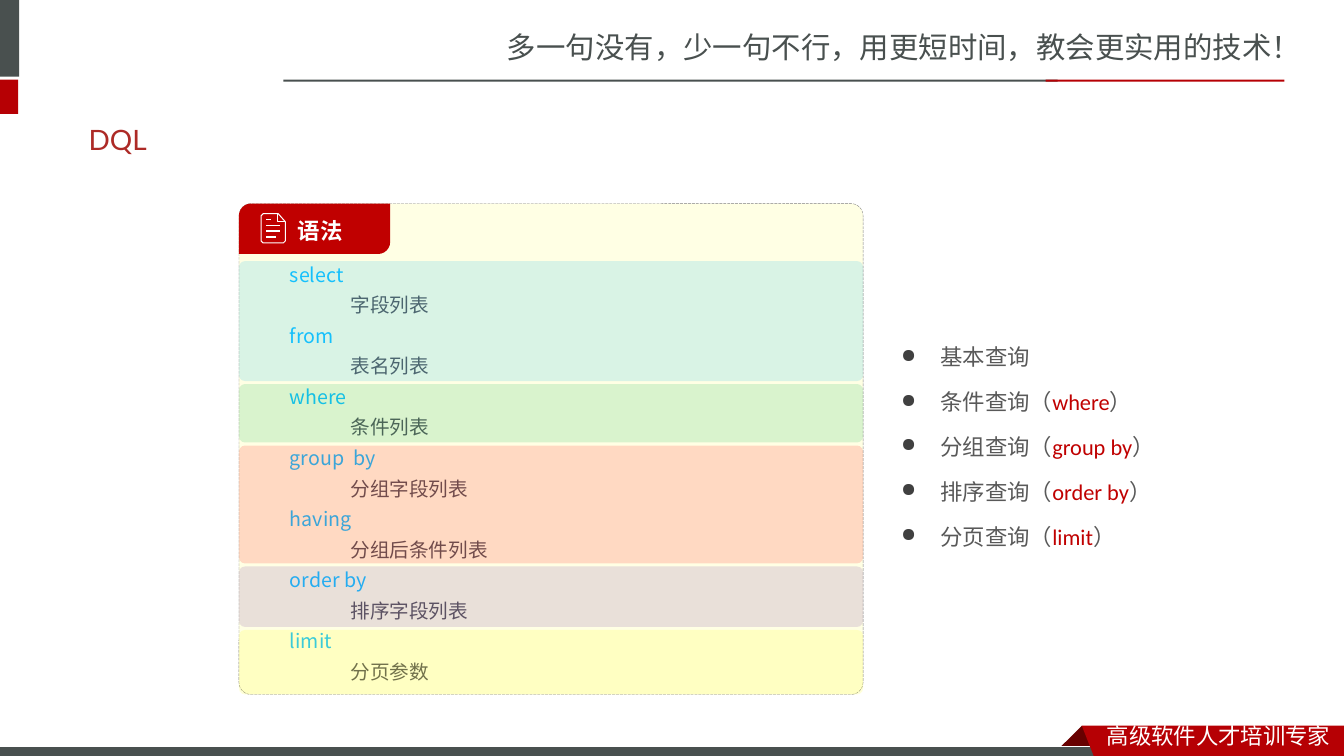
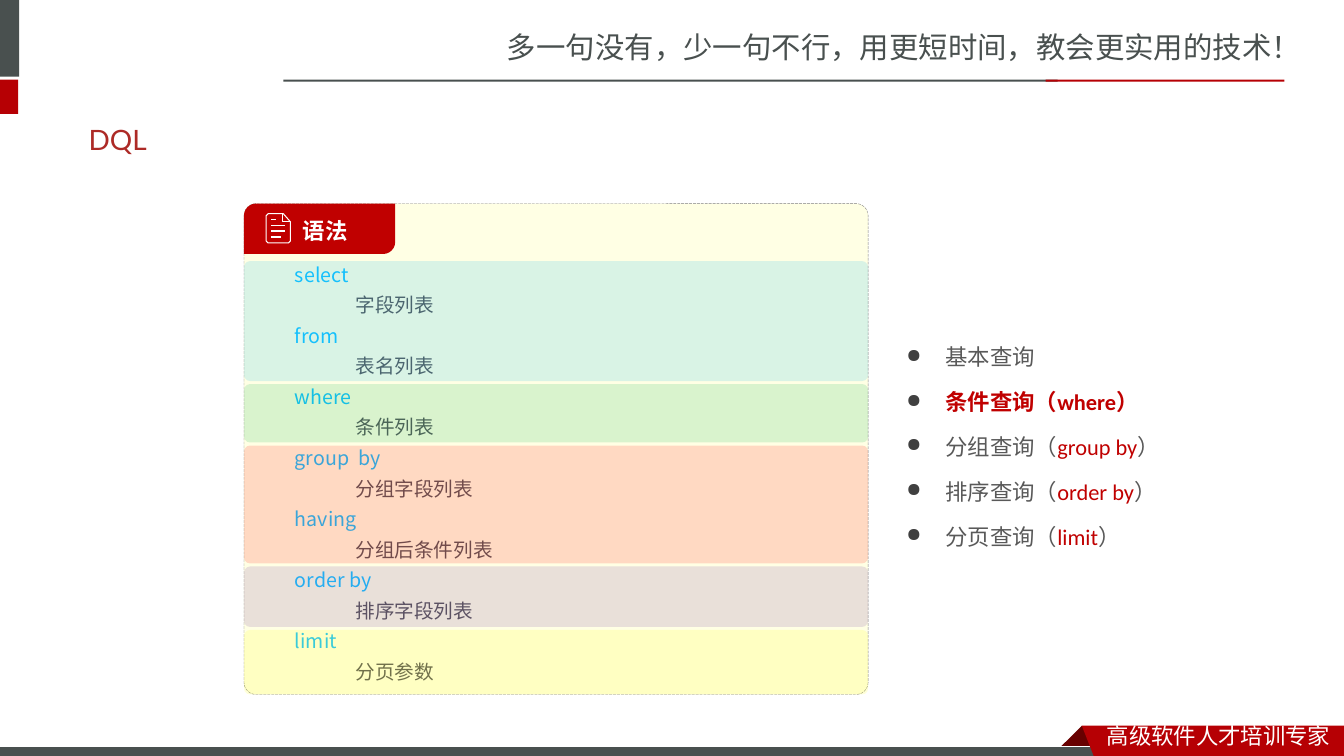
from lxml import etree
from pptx import Presentation
from pptx.dml.color import RGBColor
from pptx.enum.dml import MSO_LINE
from pptx.enum.shapes import MSO_CONNECTOR, MSO_SHAPE
from pptx.enum.text import MSO_ANCHOR
from pptx.oxml.ns import qn
from pptx.util import Inches, Pt

# Colours and fonts
GREY = RGBColor(0x49, 0x50, 0x4F)
BRAND_RED = RGBColor(0xB6, 0x00, 0x04)
FOLD_RED = RGBColor(0x68, 0x00, 0x00)
TITLE_RED = RGBColor(0xAD, 0x2A, 0x26)
RED = RGBColor(0xC0, 0x00, 0x00)
WHITE = RGBColor(0xFF, 0xFF, 0xFF)
CREAM = RGBColor(0xFF, 0xFF, 0xE4)
BORDER = RGBColor(0x80, 0x80, 0x80)
KEYWORD = RGBColor(0x19, 0xC3, 0xFF)
TEXT = RGBColor(0x59, 0x59, 0x59)
BULLET = "404040"
CJK_SC, CJK_JP = "Noto Sans CJK SC", "Noto Sans CJK JP"

# Content
SLOGAN = "多一句没有，少一句不行，用更短时间，教会更实用的技术！"
FOOTER = "高级软件人才培训专家"
TITLE = "DQL"
TAB_LABEL = "语法"
CLAUSES = [
    ("select", "字段列表"), ("from", "表名列表"), ("where", "条件列表"),
    ("group  by", "分组字段列表"), ("having", "分组后条件列表"),
    ("order by", "排序字段列表"), ("limit", "分页参数"),
]
BANDS = [  # colour, height
    (RGBColor(0x00, 0xB0, 0xF0), 1.19), (RGBColor(0x00, 0xB0, 0x50), 0.58),
    (RGBColor(0xFF, 0x00, 0x00), 1.17), (RGBColor(0x70, 0x30, 0xA0), 0.6),
    (RGBColor(0xFF, 0xFF, 0x00), 0.64),
]
QUERIES = [("基本查询", ""), ("条件查询", "where"), ("分组查询", "group by"),
           ("排序查询", "order by"), ("分页查询", "limit")]
SLIDES = [  # panel left, highlighted query
    (2.37, None), (2.42, "where"),
]

# Layout
SLIDE_W, SLIDE_H = 13.33, 7.5
PANEL_TOP, PANEL_W, PANEL_H = 2.02, 6.19, 4.87
TAB_W, TAB_H = 1.5, 0.5
BAND_TOP, BAND_GAP, BAND_RADIUS = 2.59, 0.03, 0.06
PANEL_RADIUS = 0.12
FRAME_BARS = [  # left, top, width, height, colour
    (-0.06, 0, 0.25, 0.76, GREY), (-0.06, 0.79, 0.24, 0.34, BRAND_RED),
    (2.81, 0.79, 7.68, 0.02, GREY), (10.37, 0.79, 2.37, 0.02, BRAND_RED),
]
FOLD = [(10.73, 7.2), (10.95, 7.42), (10.94, 7.43), (10.52, 7.43), (10.51, 7.42)]
RIBBON = [(10.73, 7.2), (13.33, 7.2), (13.33, 7.54), (10.86, 7.53)]
# Document icon, measured from the panel corner
PAGE = [(0.24, 0.1), (0.39, 0.1), (0.46, 0.18), (0.46, 0.37), (0.44, 0.39),
        (0.24, 0.39), (0.22, 0.37), (0.22, 0.12)]
PAGE_FOLD = [(0.38, 0.1), (0.38, 0.18), (0.46, 0.18)]
PAGE_LINES = [(0.32, 0.16), (0.41, 0.22), (0.41, 0.27), (0.37, 0.33)]  # right, y
PAGE_LINE_LEFT = 0.27


def finish(sp, fill=None, line=None, width=0.75):
    sp.shadow.inherit = False
    if fill is None:
        sp.fill.background()
    else:
        sp.fill.solid()
        sp.fill.fore_color.rgb = fill
    if line is None:
        sp.line.fill.background()
    else:
        sp.line.color.rgb = line
        sp.line.width = Pt(width)
    return sp


def add_box(slide, kind, x, y, w, h, fill, line=None, width=0.75, radius=None):
    sp = slide.shapes.add_shape(kind, *map(Inches, (x, y, w, h)))
    if radius:
        sp.adjustments[0] = radius / min(w, h)
    return finish(sp, fill, line, width)


def add_outline(slide, points, fill=None, line=None, close=True, dx=0, dy=0):
    pts = [(Inches(x + dx), Inches(y + dy)) for x, y in points]
    builder = slide.shapes.build_freeform(*pts[0], scale=1.0)
    builder.add_line_segments(pts[1:], close=close)
    return finish(builder.convert_to_shape(), fill, line)


def set_insets(tf, left=0.1, top=0.05, right=0.1, bottom=0.05):
    tf.margin_left, tf.margin_top = Inches(left), Inches(top)
    tf.margin_right, tf.margin_bottom = Inches(right), Inches(bottom)


def style_run(r, size, font, color, bold=False, east=None):
    r.font.size, r.font.name, r.font.bold = Pt(size), font, bold
    r.font.color.rgb = color
    ea = etree.SubElement(r._r.get_or_add_rPr(), qn("a:ea"))
    ea.set("typeface", east or font)


def add_label(slide, text, x, y, w, h, size, font, color, top=0.05):
    tf = slide.shapes.add_textbox(*map(Inches, (x, y, w, h))).text_frame
    set_insets(tf, top=top)
    tf.text = text
    style_run(tf.paragraphs[0].runs[0], size, font, color)
    return tf


def next_paragraph(tf, index):
    return tf.add_paragraph() if index else tf.paragraphs[0]


def set_indent(p, left, first=0):
    pPr = p._p.get_or_add_pPr()
    pPr.set("marL", str(Inches(left)))
    pPr.set("indent", str(Inches(first)))
    return pPr


def set_bullet(p):
    pPr = set_indent(p, 0.39, -0.39)
    color = etree.SubElement(pPr, qn("a:buClr"))
    etree.SubElement(color, qn("a:srgbClr")).set("val", BULLET)
    etree.SubElement(pPr, qn("a:buSzPct")).set("val", "85000")
    etree.SubElement(pPr, qn("a:buChar")).set("char", "●")


def set_alpha(sp, percent):
    color = sp._element.spPr.find(qn("a:solidFill")).find(qn("a:srgbClr"))
    etree.SubElement(color, qn("a:alpha")).set("val", str(percent * 1000))


def add_frame(slide):
    """Header, footer and title shared by every slide."""
    add_label(slide, SLOGAN, 4.93, 0.28, 8.41, 0.47, 21, CJK_SC, GREY, top=0.01)
    for *box, color in FRAME_BARS:
        add_box(slide, MSO_SHAPE.RECTANGLE, *box, color)
    add_outline(slide, FOLD, FOLD_RED)
    add_box(slide, MSO_SHAPE.RECTANGLE, -0.01, 7.41, 11, 0.12, GREY, WHITE)
    add_outline(slide, RIBBON, BRAND_RED)
    add_label(slide, FOOTER, 10.88, 7.15, 2.45, 0.37, 16, CJK_SC, WHITE, top=0.01)
    tf = add_label(slide, TITLE, 0.78, 1.1, 11.76, 0.57, 20, "Lato", TITLE_RED)
    tf.vertical_anchor = MSO_ANCHOR.MIDDLE
    tf.word_wrap = True


def add_icon(slide, x, y):
    add_outline(slide, PAGE, line=WHITE, dx=x, dy=y)
    add_outline(slide, PAGE_FOLD, line=WHITE, close=False, dx=x, dy=y)
    for right, dy in PAGE_LINES:
        ln = slide.shapes.add_connector(
            MSO_CONNECTOR.STRAIGHT, Inches(x + PAGE_LINE_LEFT), Inches(y + dy),
            Inches(x + right), Inches(y + dy))
        ln.line.color.rgb, ln.line.width = WHITE, Pt(1)
        etree.SubElement(ln._element.spPr, qn("a:effectLst"))


def add_syntax_panel(slide, x):
    panel = add_box(slide, MSO_SHAPE.ROUNDED_RECTANGLE, x, PANEL_TOP, PANEL_W, PANEL_H,
                    CREAM, BORDER, 0.25, PANEL_RADIUS)
    panel.line.dash_style = MSO_LINE.LONG_DASH
    tf = panel.text_frame
    tf.vertical_anchor = MSO_ANCHOR.TOP
    set_insets(tf, left=0.47, top=0.48)
    lines = [(text, color, indent) for keyword, field in CLAUSES
             for text, color, indent in ((keyword, KEYWORD, 0), (field, TEXT, 0.6))]
    for i, (text, color, indent) in enumerate(lines):
        p = next_paragraph(tf, i)
        p.text = text
        p.alignment = 1
        p.line_spacing = Pt(21.84)
        set_indent(p, indent)
        style_run(p.runs[0], 14, CJK_JP, color)

    # Red tab with its icon
    tab = add_box(slide, MSO_SHAPE.ROUND_2_DIAG_RECTANGLE, x, PANEL_TOP, TAB_W, TAB_H,
                  RED, radius=PANEL_RADIUS)
    tf = tab.text_frame
    tf.vertical_anchor = MSO_ANCHOR.MIDDLE
    set_insets(tf, left=0.55, top=0.04, right=0.04, bottom=0)
    tf.text = TAB_LABEL
    tf.paragraphs[0].alignment = 1
    style_run(tf.paragraphs[0].runs[0], 16, CJK_JP, WHITE, True)
    add_icon(slide, x, PANEL_TOP)

    # Tinted bands over the clauses
    y = BAND_TOP
    for color, h in BANDS:
        band = add_box(slide, MSO_SHAPE.ROUNDED_RECTANGLE, x, y, PANEL_W, h, color,
                       radius=BAND_RADIUS)
        set_alpha(band, 15)
        y += h + BAND_GAP


def add_query_list(slide, x, highlight):
    tf = slide.shapes.add_textbox(*map(Inches, (x, 3.21, 2.99, 2.36))).text_frame
    tf.word_wrap = True
    set_insets(tf, top=0.02)
    for i, (name, keyword) in enumerate(QUERIES):
        p = next_paragraph(tf, i)
        p.line_spacing = Pt(32)
        set_bullet(p)
        strong = bool(keyword) and keyword == highlight
        plain = RED if strong else TEXT
        parts = [(name, plain)]
        if keyword:
            parts = [(name + "（", plain), (keyword, RED), ("）", plain)]
        for text, color in parts:
            r = p.add_run()
            r.text = text
            style_run(r, 16, "Calibri", color, strong, CJK_SC)


def main():
    prs = Presentation()
    prs.slide_width, prs.slide_height = Inches(SLIDE_W), Inches(SLIDE_H)
    for panel_left, highlight in SLIDES:
        slide = prs.slides.add_slide(prs.slide_layouts[6])
        add_frame(slide)
        add_syntax_panel(slide, panel_left)
        add_query_list(slide, panel_left + PANEL_W + 0.28, highlight)
    prs.save("out.pptx")


if __name__ == "__main__":
    main()
